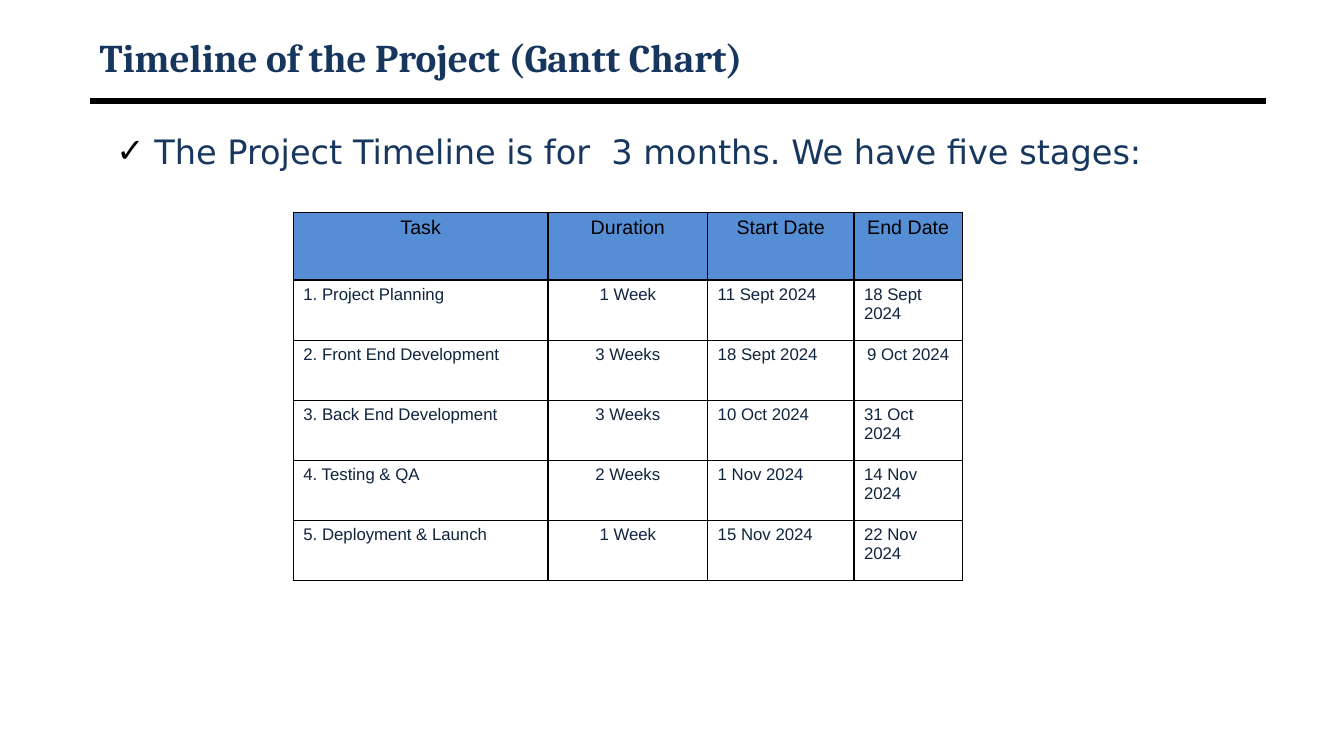
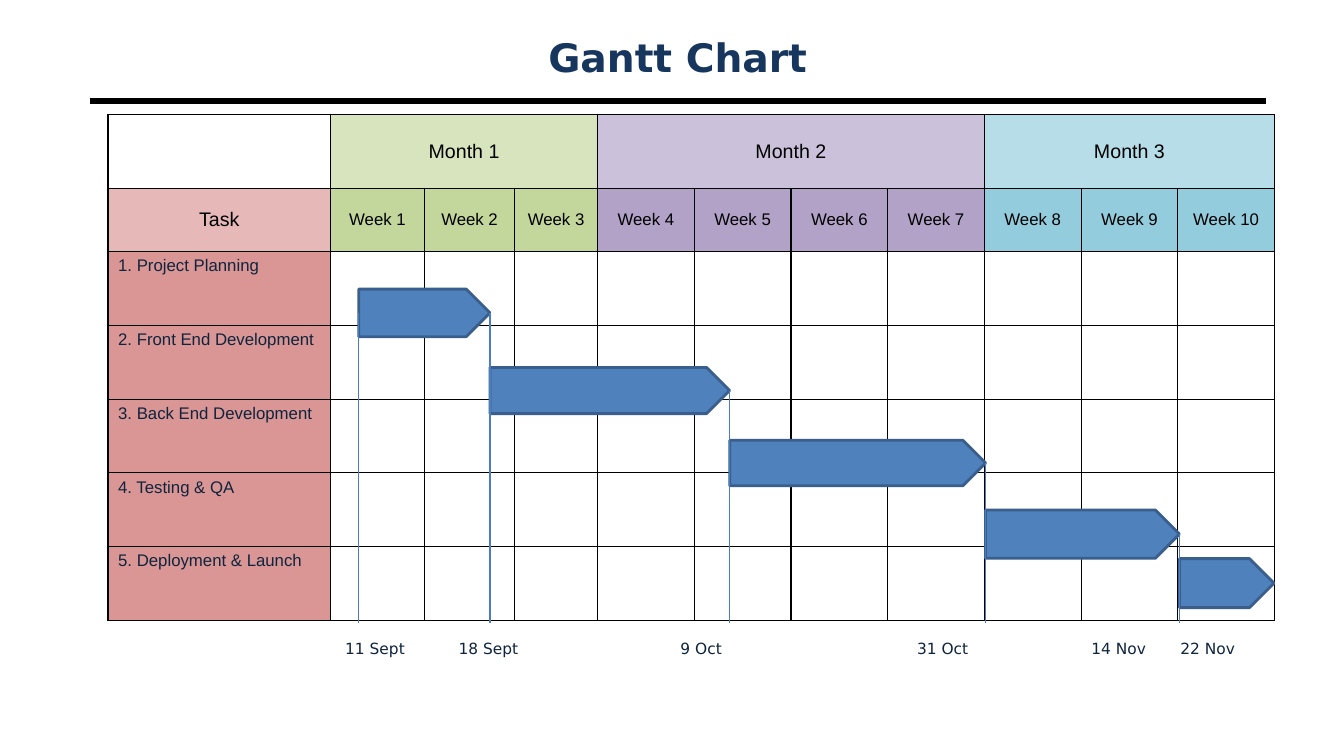
import dataclasses
import itertools

import pptx
import pptx.dml.color
import pptx.enum.shapes
import pptx.enum.text
import pptx.oxml
import pptx.oxml.ns
import pptx.util

Pt = pptx.util.Pt
RGB = pptx.dml.color.RGBColor.from_string
ALIGN = pptx.enum.text.PP_ALIGN
ANCHOR = pptx.enum.text.MSO_ANCHOR
FIT = pptx.enum.text.MSO_AUTO_SIZE
SHAPE = pptx.enum.shapes.MSO_SHAPE
STRAIGHT = pptx.enum.shapes.MSO_CONNECTOR.STRAIGHT


@dataclasses.dataclass(frozen=True)
class Theme:
    black: str = "000000"
    title: str = "17365D"
    body: str = "17375E"
    ink: str = "0F243E"
    header: str = "558ED5"
    task_head: str = "E6B9B8"
    task: str = "D99694"
    bar: str = "4F81BD"
    bar_edge: str = "3A5F8C"
    drop: str = "4B7EBC"
    serif: str = "Cambria"
    sans: str = "DejaVu Sans"
    table_font: str = "Arial"
    title_size: int = 28
    body_size: int = 24
    head_size: int = 14
    cell_size: int = 12
    date_size: int = 11


def apply(target, values):
    for name, value in values.items():
        setattr(target, name, value)


def add_xml(parent, name, attrs="", inner=""):
    """Append one DrawingML element to parent."""
    ns = pptx.oxml.ns.nsdecls("a")
    parent.append(pptx.oxml.parse_xml(f"<a:{name} {ns} {attrs}>{inner}</a:{name}>"))


class Deck:
    def __init__(self, theme):
        self.theme = theme
        self.prs = pptx.Presentation()
        apply(self.prs, {"slide_width": Pt(960), "slide_height": Pt(540)})
        self.s = None

    def text(self, p, text, font, size, color, align=ALIGN.LEFT, bold=False):
        p.alignment = align
        r = p.add_run()
        r.text = text
        apply(r.font, {"name": font, "size": Pt(size), "bold": bold})
        r.font.color.rgb = RGB(color)

    def place(self, sp, left, top, width, height):
        apply(sp, {"left": Pt(left), "top": Pt(top),
                   "width": Pt(width), "height": Pt(height)})

    def slide(self, layout, title, font, align):
        """New slide with its title and the heavy rule below it."""
        t = self.theme
        self.s = self.prs.slides.add_slide(self.prs.slide_layouts[layout])
        self.line((64, 72), (904, 72), t.black, 4.5)
        sp = self.s.shapes.title
        self.place(sp, 64, 21.5, 840, 38)
        tf = sp.text_frame
        apply(tf, {"auto_size": FIT.NONE, "vertical_anchor": ANCHOR.MIDDLE})
        self.text(tf.paragraphs[0], title, font, t.title_size, t.title, align, True)

    def check_item(self, text):
        t = self.theme
        sp = self.s.placeholders[1]
        self.place(sp, 64, 90, 840, 390)
        tf = sp.text_frame
        tf.auto_size = FIT.NONE
        p = tf.paragraphs[0]
        self.text(p, text, t.sans, t.body_size, t.body, ALIGN.JUSTIFY)
        p.space_before = Pt(0)
        pPr = p._p.get_or_add_pPr()
        pPr.set("marL", str(Pt(39)))
        pPr.set("indent", str(Pt(-27)))
        add_xml(pPr, "buClr", inner=f'<a:srgbClr val="{t.black}"/>')
        add_xml(pPr, "buFont", f'typeface="{t.sans}"')
        add_xml(pPr, "buChar", 'char="✓"')

    def line(self, start, end, color, width):
        cxn = self.s.shapes.add_connector(
            STRAIGHT, *(Pt(v) for v in (*start, *end)))
        cxn.line.color.rgb = RGB(color)
        cxn.line.width = Pt(width)
        add_xml(cxn._element.spPr, "effectLst")
        return cxn

    def bar(self, left, top, width, height):
        t = self.theme
        sp = self.s.shapes.add_shape(
            SHAPE.PENTAGON, *(Pt(v) for v in (left, top, width, height)))
        sp.shadow.inherit = False
        sp.fill.solid()
        sp.fill.fore_color.rgb = RGB(t.bar)
        sp.line.color.rgb = RGB(t.bar_edge)
        sp.line.width = Pt(2)
        return sp

    def table(self, left, top, cols, rows):
        """Empty table with a black grid and no fill."""
        frame = self.s.shapes.add_table(
            len(rows), len(cols), Pt(left), Pt(top), Pt(sum(cols)), Pt(sum(rows)))
        tbl = frame.table
        apply(tbl, {"first_row": False, "horz_banding": False})
        for col, width in zip(tbl.columns, cols):
            col.width = Pt(width)
        for row, height in zip(tbl.rows, rows):
            row.height = Pt(height)
        grid = f'<a:solidFill><a:srgbClr val="{self.theme.black}"/></a:solidFill>'
        for cell in tbl.iter_cells():
            tcPr = cell._tc.get_or_add_tcPr()
            for side in "LRTB":
                add_xml(tcPr, f"ln{side}", f'w="{Pt(1)}"', grid)
            cell.fill.background()
        return tbl

    def cell(self, cell, text, size, color, align=ALIGN.LEFT, fill=None,
             anchor=ANCHOR.TOP):
        self.text(cell.text_frame.paragraphs[0], text, self.theme.table_font,
                  size, color, align)
        cell.vertical_anchor = anchor
        if fill:
            cell.fill.solid()
            cell.fill.fore_color.rgb = RGB(fill)

    def date_row(self, left, top, width, dates, stops):
        """One line of dates set on tab stops."""
        t = self.theme
        sp = self.s.shapes.add_textbox(Pt(left), Pt(top), Pt(width), Pt(21))
        tf = sp.text_frame
        apply(tf, {"word_wrap": True, "auto_size": FIT.SHAPE_TO_FIT_TEXT})
        p = tf.paragraphs[0]
        self.text(p, "\t".join(dates), t.sans, t.date_size, t.ink)
        tabs = "".join(f'<a:tab pos="{Pt(x)}" algn="l"/>' for x in stops)
        add_xml(p._p.get_or_add_pPr(), "tabLst", inner=tabs)


TASKS = [
    ("1. Project Planning", "1 Week", "11 Sept 2024", "18 Sept 2024"),
    ("2. Front End Development", "3 Weeks", "18 Sept 2024", "9 Oct 2024"),
    ("3. Back End Development", "3 Weeks", "10 Oct 2024", "31 Oct 2024"),
    ("4. Testing & QA", "2 Weeks", "1 Nov 2024", "14 Nov 2024"),
    ("5. Deployment & Launch", "1 Week", "15 Nov 2024", "22 Nov 2024"),
]


def timeline_slide(deck):
    t = deck.theme
    deck.slide(1, "Timeline of the Project (Gantt Chart)", t.serif, ALIGN.LEFT)
    deck.check_item("The Project Timeline is for  3 months. We have five stages:")

    # Task table
    tbl = deck.table(209.5, 151.5, [182, 114, 104.5, 77.5], [48.5] + [43] * 5)
    for c, head in enumerate(("Task", "Duration", "Start Date", "End Date")):
        deck.cell(tbl.cell(0, c), head, t.head_size, t.black, ALIGN.CENTER, t.header)
    centred = {"9 Oct 2024"}
    for r, task in enumerate(TASKS, 1):
        for c, text in enumerate(task):
            align = ALIGN.CENTER if c == 1 or text in centred else ALIGN.LEFT
            deck.cell(tbl.cell(r, c), text, t.cell_size, t.ink, align)


def gantt_slide(deck):
    t = deck.theme
    deck.slide(5, "Gantt Chart", t.sans, ALIGN.CENTER)

    # Calendar grid: months over weeks, then one row per task
    tbl = deck.table(77.2, 82, [159, 67, 64.5, 59.2] + [69.1] * 7,
                     [52.7, 45] + [52.7] * 5)
    middle = {"align": ALIGN.CENTER, "anchor": ANCHOR.MIDDLE}
    deck.cell(tbl.cell(1, 0), "Task", t.head_size, t.black, fill=t.task_head, **middle)
    months = [(3, "D7E4BD", "C3D69B"), (4, "CCC1DA", "B3A2C7"), (3, "B7DEE8", "93CDDD")]
    week = 1
    for month, (weeks, light, dark) in enumerate(months, 1):
        head = tbl.cell(0, week)
        head.merge(tbl.cell(0, week + weeks - 1))
        deck.cell(head, f"Month {month}", t.head_size, t.black, fill=light, **middle)
        for w in range(week, week + weeks):
            deck.cell(tbl.cell(1, w), f"Week {w}", t.cell_size, t.black,
                      fill=dark, **middle)
        week += weeks
    for r, task in enumerate(TASKS, 2):
        deck.cell(tbl.cell(r, 0), task[0], t.cell_size, t.ink, fill=t.task)

    # Bars: each starts where the one before ends
    edges = [256.3, 350, 521.2, 704, 842.5, 910]
    spans = [(206.5, 34), (262.5, 33), (314.5, 32.5), (364.3, 34.5), (399, 35)]
    bars = [deck.bar(left, top, right - left, height)
            for (left, right), (top, height) in zip(itertools.pairwise(edges), spans)]

    # Drop lines from the first start and from the tips
    joints = [(bars[0], 1)] + [(sp, 3) for sp in bars[:-1]]
    for x, (sp, side) in zip(edges, joints):
        drop = deck.line((x, 224), (x, 445), t.drop, 0.75)
        drop.begin_connect(sp, side)

    # Dates
    deck.date_row(239.5, 453, 700,
                  ["11 Sept", "18 Sept", "9 Oct", "31 Oct", "14 Nov", "22 Nov"],
                  [81, 239.5, 408.5, 533, 596.5])


def main():
    deck = Deck(Theme())
    timeline_slide(deck)
    gantt_slide(deck)
    deck.prs.save("out.pptx")


if __name__ == "__main__":
    main()
